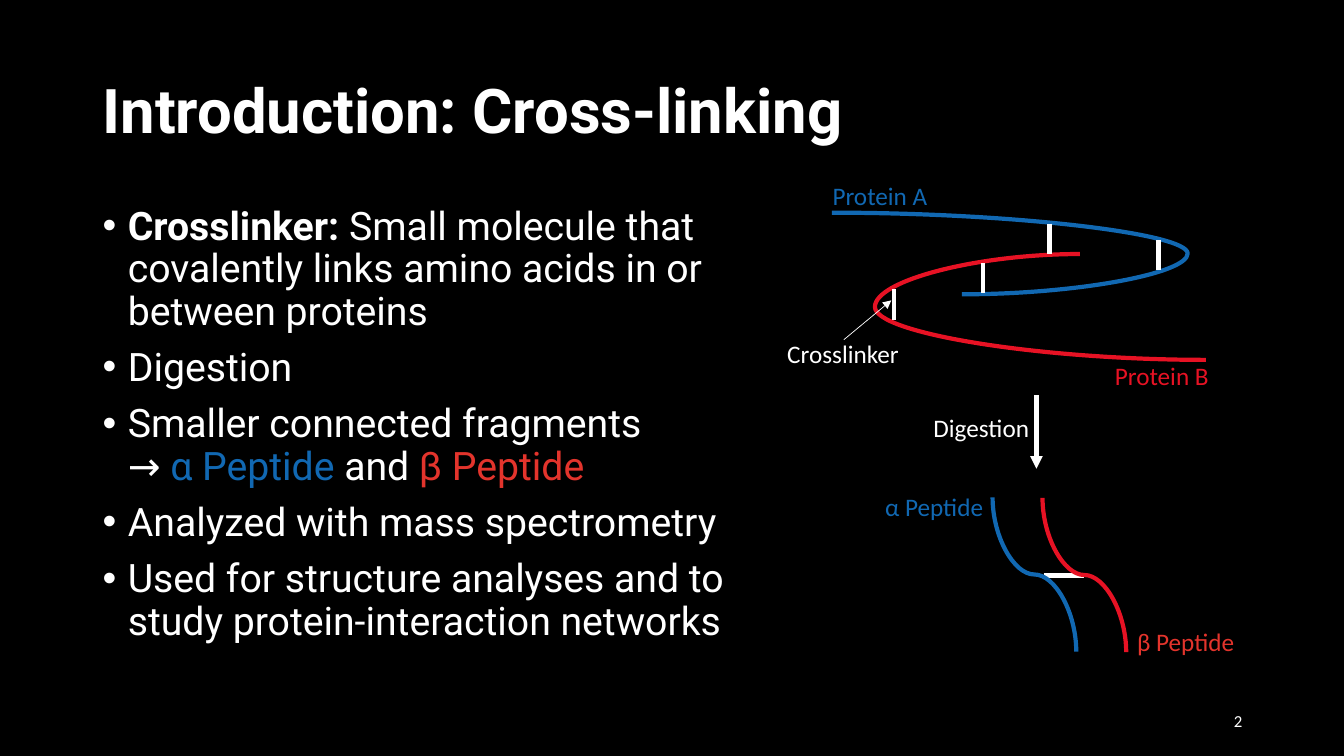
import pptx
import pptx.dml.color
import pptx.enum.shapes
import pptx.enum.text
import pptx.oxml
import pptx.oxml.ns
import pptx.util

# The slide is a grid of 133.3 columns by 75 rows, each a tenth of an inch
COLUMNS, ROWS = 133.3, 75
WHITE, BLUE, RED, ORANGE = "FFFFFF", "1168B2", "E71224", "E3342C"
BODY = {"name": "Roboto", "size": pptx.util.Pt(28)}
LABEL = {"name": "Calibri", "size": pptx.util.Pt(18)}
CONNECTOR = pptx.enum.shapes.MSO_CONNECTOR
ALIGN = pptx.enum.text.PP_ALIGN
ANCHOR = pptx.enum.text.MSO_ANCHOR


def grid(units):
    return pptx.util.Inches(units / 10)


def color(hex_value):
    return pptx.dml.color.RGBColor.from_string(hex_value)


def add_element(parent, tag, **attributes):
    element = pptx.oxml.ns.qn(tag)
    child = parent.makeelement(element, attributes)
    parent.append(child)
    return child


def set_format(target, values):
    for name, value in values.items():
        setattr(target, name, value)


def add_run(paragraph, text, font, hex_value=WHITE):
    run = paragraph.add_run()
    run.text = text
    set_format(run.font, font)
    run.font.color.rgb = color(hex_value)


def add_text_box(slide, box, anchor=ANCHOR.TOP):
    shape = slide.shapes.add_textbox(*map(grid, box))
    set_format(shape.text_frame, {"word_wrap": True, "vertical_anchor": anchor})
    return shape.text_frame


def add_label(slide, box, text, hex_value):
    frame = add_text_box(slide, box)
    add_run(frame.paragraphs[0], text, LABEL, hex_value)


def add_line(slide, start, end, hex_value=WHITE, width=3, arrow=False,
             bend=None, rotation=0):
    kind = CONNECTOR.STRAIGHT if bend is None else CONNECTOR.CURVE
    connector = slide.shapes.add_connector(kind, *map(grid, (*start, *end)))
    connector.line.color.rgb = color(hex_value)
    connector.line.width = pptx.util.Pt(width)
    properties = connector._element.spPr
    if arrow:
        add_element(connector.line._get_or_add_ln(), "a:tailEnd", type="triangle")
    if bend is not None:
        guides = properties.find(pptx.oxml.ns.qn("a:prstGeom")).get_or_add_avLst()
        add_element(guides, "a:gd", name="adj1", fmla=f"val {round(bend * 100000)}")
    if rotation:
        transform = properties.find(pptx.oxml.ns.qn("a:xfrm"))
        transform.set("rot", str(rotation * 60000))
    add_element(properties, "a:effectLst")


def add_title(slide, box, text):
    paragraph = add_text_box(slide, box, ANCHOR.MIDDLE).paragraphs[0]
    paragraph.line_spacing = 0.9
    add_run(paragraph, text, {"name": "Roboto", "size": pptx.util.Pt(44), "bold": True})


def add_bullets(slide, box, items):
    frame = add_text_box(slide, box)
    for index, lines in enumerate(items):
        paragraph = frame.add_paragraph() if index else frame.paragraphs[0]
        properties = paragraph._p.get_or_add_pPr()
        properties.set("marL", str(grid(2.5)))
        properties.set("indent", str(grid(-2.5)))
        set_format(paragraph, {"line_spacing": 0.9,
                               "space_before": pptx.util.Pt(10 if index else 0)})
        add_element(properties, "a:buFont", typeface="Arial")
        add_element(properties, "a:buChar", char="•")
        for line_index, runs in enumerate(lines):
            if line_index:
                paragraph.add_line_break()
            for text, hex_value, bold in runs:
                add_run(paragraph, text, {**BODY, "bold": bold}, hex_value)


def add_proteins(slide, box):
    left, top, width, height = box
    # Folded protein chains
    add_line(slide, (left + 5.4, top + 3.7), (left + 18.3, top + 11.8), BLUE, bend=2.736)
    add_line(slide, (left + 30, top + 7.8), (left + 42.5, top + 18.3), RED, bend=-1.626)
    # Crosslinkers
    for column, row in ((20.4, 8.7), (27, 4.8), (11.6, 11.3), (37.8, 6.4)):
        start = left + column, top + row
        add_line(slide, start, (start[0], start[1] + 3))
    add_line(slide, (left + 6.6, top + 16.3), (left + 11.3, top + 12.4),
             width=0.5, arrow=True)
    # Labels
    add_label(slide, (left + 4.5, top, 19.7, 4), "Protein A", BLUE)
    add_label(slide, (left + width - 14, top + height - 4, 14, 4), "Protein B", RED)
    add_label(slide, (left, top + 15.7, 14, 4), "Crosslinker", WHITE)


def add_digestion(slide, box):
    left, top, width, height = box
    arrow_column = left + width - 1.3
    add_line(slide, (arrow_column, top), (arrow_column, top + height), arrow=True)
    add_label(slide, (left, top + 1.2, width, 4), "Digestion", WHITE)


def add_peptides(slide, box):
    left, top, width, height = box
    # Crosslinker between the two chains
    add_line(slide, (left + 16.7, top + 8.8), (left + 20.7, top + 8.8))
    # Chains: S-curves turned upright around their centre
    length, spread = 15.3, 8.3
    for column, row, hex_value in ((15.8, 8.7, BLUE), (20.75, 8.75, RED)):
        x, y = left + column, top + row
        add_line(slide, (x + length / 2, y - spread / 2),
                 (x - length / 2, y + spread / 2), hex_value, bend=0.5, rotation=270)
    # Labels
    add_label(slide, (left, top, 12.5, 4), "α Peptide", BLUE)
    add_label(slide, (left + width - 12.3, top + height - 4, 12.3, 4), "β Peptide", ORANGE)


def add_slide_number(slide, box, text):
    paragraph = add_text_box(slide, box, ANCHOR.MIDDLE).paragraphs[0]
    paragraph.alignment = ALIGN.RIGHT
    add_run(paragraph, text, {"name": "Calibri", "size": pptx.util.Pt(12)})


def main():
    presentation = pptx.Presentation()
    presentation.slide_width, presentation.slide_height = grid(COLUMNS), grid(ROWS)
    slide = presentation.slides.add_slide(presentation.slide_layouts[6])
    slide.background.fill.solid()
    slide.background.fill.fore_color.rgb = color("000000")

    add_title(slide, (9.2, 4, 115, 14.5), "Introduction: Cross-linking")
    # Each item is a list of lines, each line a list of runs
    add_bullets(slide, (9.2, 20, 65.7, 47.6), [
        [[("Crosslinker: ", WHITE, True),
          ("Small molecule that covalently links amino acids in or between proteins",
           WHITE, False)]],
        [[("Digestion", WHITE, False)]],
        [[("Smaller connected fragments ", WHITE, False)],
         [("→ ", WHITE, False), ("α Peptide ", BLUE, False),
          ("and ", WHITE, False), ("β Peptide", ORANGE, False)]],
        [[("Analyzed with mass spectrometry", WHITE, False)]],
        [[("Used for structure analyses and to study protein-interaction networks",
           WHITE, False)]],
    ])
    add_proteins(slide, (77.1, 17.4, 46.5, 21.9))
    add_digestion(slide, (91.6, 39.2, 12.5, 7.3))
    add_peptides(slide, (86.8, 48.3, 37.3, 17.3))
    add_slide_number(slide, (94.2, 69.5, 30, 4), "2")
    presentation.save("out.pptx")


if __name__ == "__main__":
    main()
